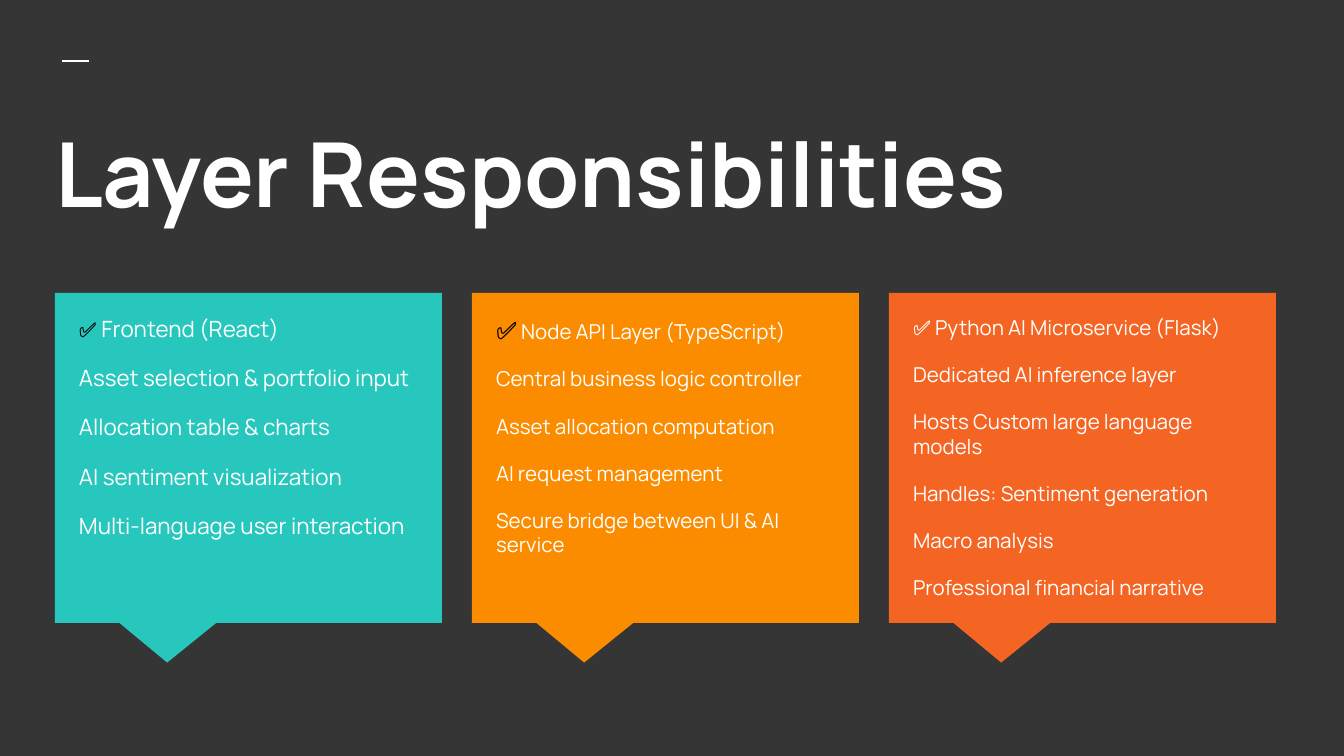
"""Build the Layer Responsibilities slide with three callout cards."""
from pptx import Presentation
from pptx.dml.color import RGBColor
from pptx.enum.shapes import MSO_CONNECTOR, MSO_SHAPE
from pptx.enum.text import MSO_ANCHOR, PP_ALIGN
from pptx.oxml.ns import qn
from pptx.util import Pt
from lxml.etree import SubElement

WHITE = RGBColor(0xFF, 0xFF, 0xFF)
BLACK = RGBColor(0x00, 0x00, 0x00)
CHARCOAL = RGBColor(0x35, 0x35, 0x35)
TEAL = RGBColor(0x27, 0xC7, 0xBD)
AMBER = RGBColor(0xFB, 0x8C, 0x00)
ORANGE = RGBColor(0xF4, 0x65, 0x24)

TITLE = "Layer Responsibilities"
CHECK = "✅"
CARDS = [
    {
        "fill": TEAL, "size": 12, "check": ("Arial", 11, BLACK, True),
        "heading": "Frontend (React)",
        "items": [
            "Asset selection & portfolio input",
            "Allocation table & charts",
            "AI sentiment visualization",
            "Multi-language user interaction",
        ],
    },
    {
        "fill": AMBER, "size": 11, "check": ("Arial", 13, BLACK, True),
        "heading": "Node API Layer (TypeScript)",
        "items": [
            "Central business logic controller",
            "Asset allocation computation",
            "AI request management",
            "Secure bridge between UI & AI service",
        ],
    },
    {
        "fill": ORANGE, "size": 11, "check": ("Manrope", 11, WHITE, False),
        "heading": "Python AI Microservice (Flask)",
        "items": [
            "Dedicated AI inference layer",
            "Hosts Custom large language models",
            "Handles: Sentiment generation",
            "Macro analysis",
            "Professional financial narrative",
        ],
    },
]

SLIDE_WIDTH, SLIDE_HEIGHT = 1344, 756
CARD_LEFT, CARD_TOP, CARD_WIDTH, CARD_HEIGHT = 55, 293, 387, 330
CARD_STEP = 417
TEXT_INSET, TEXT_TOP, TEXT_WIDTH, TEXT_HEIGHT = 11, 302, 364, 294


def px(length):
    return round(length * 914400 / 134.4)


def style(font, name, size, color, bold=False):
    font.name = name
    font.size = Pt(size)
    font.color.rgb = color
    font.bold = bold


def add_text_box(page, left, top, width, height):
    box = page.shapes.add_textbox(px(left), px(top), px(width), px(height))
    frame = box.text_frame
    frame.word_wrap = True
    frame.vertical_anchor = MSO_ANCHOR.TOP
    frame.margin_left = frame.margin_right = px(13)
    frame.margin_top = frame.margin_bottom = px(13)
    return frame


def add_card(page, left, card):
    callout = page.shapes.add_shape(
        MSO_SHAPE.RECTANGULAR_CALLOUT,
        px(left), px(CARD_TOP), px(CARD_WIDTH), px(CARD_HEIGHT),
    )
    callout.shadow.inherit = False
    callout.adjustments[0] = -0.21
    callout.adjustments[1] = 0.62
    callout.fill.solid()
    callout.fill.fore_color.rgb = card["fill"]
    callout.line.fill.background()

    frame = add_text_box(page, left + TEXT_INSET, TEXT_TOP, TEXT_WIDTH, TEXT_HEIGHT)
    para = frame.paragraphs[0]
    para.alignment = PP_ALIGN.LEFT
    for text, look in (
        (CHECK, card["check"]),
        (" " + card["heading"], ("Manrope", card["size"], WHITE)),
    ):
        span = para.add_run()
        span.text = text
        style(span.font, *look)
    for item in card["items"]:
        para = frame.add_paragraph()
        para.text = item
        para.space_before = Pt(12)
        style(para.font, "Manrope", card["size"], WHITE)


def main():
    deck = Presentation()
    deck.slide_width, deck.slide_height = px(SLIDE_WIDTH), px(SLIDE_HEIGHT)
    page = deck.slides.add_slide(deck.slide_layouts[6])
    page.background.fill.solid()
    page.background.fill.fore_color.rgb = CHARCOAL

    dash = page.shapes.add_connector(
        MSO_CONNECTOR.STRAIGHT, px(62), px(61), px(89), px(61)
    )
    dash.line.color.rgb = WHITE
    dash.line.width = Pt(1.5)
    SubElement(dash.element.spPr, qn("a:effectLst"))

    title = add_text_box(page, 42, 105, 1267, 150).paragraphs[0]
    title.text = TITLE
    style(title.font, "Manrope", 48, WHITE, True)

    for index, card in enumerate(CARDS):
        add_card(page, CARD_LEFT + index * CARD_STEP, card)
    deck.save("out.pptx")


if __name__ == "__main__":
    main()
